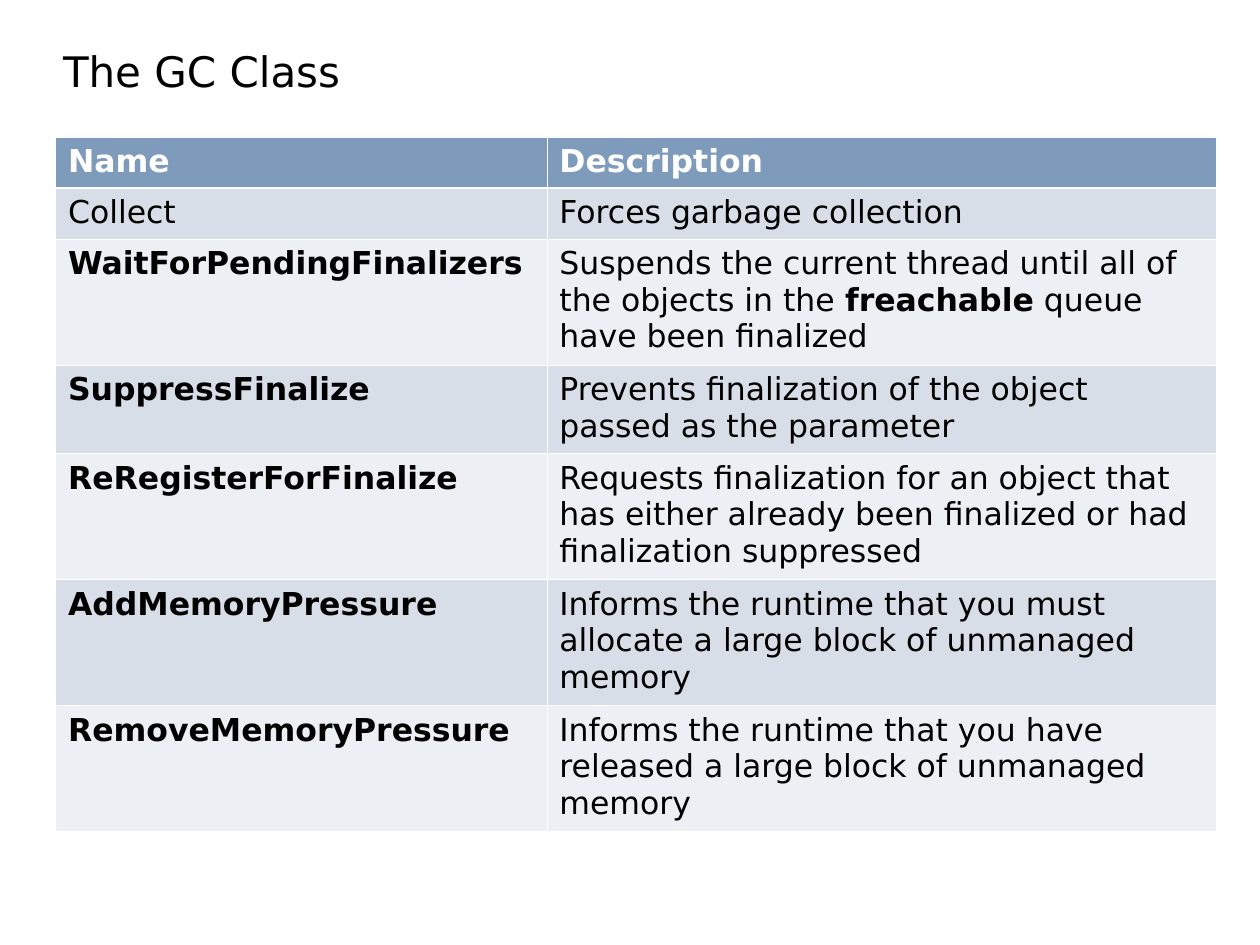
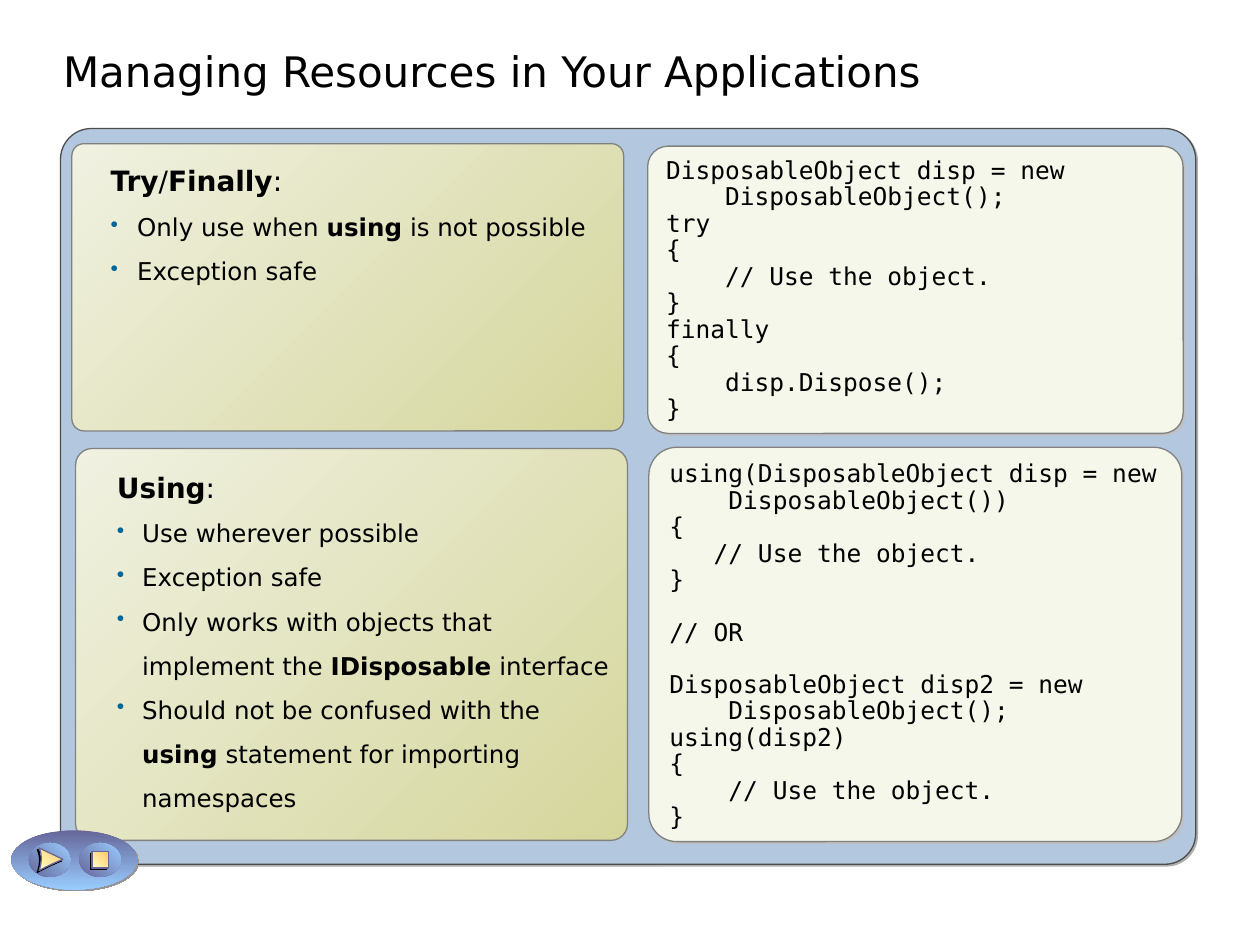
from dataclasses import dataclass
from typing import Any, NamedTuple, Optional

from lxml import etree
from pptx import Presentation
from pptx.dml.color import RGBColor
from pptx.enum.shapes import MSO_SHAPE
from pptx.enum.text import MSO_ANCHOR, MSO_AUTO_SIZE, PP_ALIGN
from pptx.oxml.ns import qn
from pptx.util import Inches, Pt

ROUNDED, OVAL, RECT = MSO_SHAPE.ROUNDED_RECTANGLE, MSO_SHAPE.OVAL, MSO_SHAPE.RECTANGLE
LEFT, TOP, BOTTOM = PP_ALIGN.LEFT, MSO_ANCHOR.TOP, MSO_ANCHOR.BOTTOM
NO_AUTOFIT = MSO_AUTO_SIZE.NONE
TITLE_ONLY = 5
EMPHASIS = "**"


class Gradient(NamedTuple):
    start: str
    end: str
    angle: int  # clockwise degrees


class Shadow(NamedTuple):
    color: str
    angle: int = 45
    opacity: int = 100


class Box(NamedTuple):
    x: float
    y: float
    w: float
    h: float

    def lengths(self) -> tuple:
        return tuple(Inches(v) for v in self)


@dataclass(frozen=True)
class Theme:
    sans: str = "DejaVu Sans"
    mono: str = "DejaVu Sans Mono"
    text: str = "000000"
    white: str = "FFFFFF"
    header: str = "7F9BBC"
    bands: tuple = ("D8DEE7", "ECEFF4")
    frame: str = "B3C8DF"
    frame_line: str = "4D4D4D"
    panel_line: str = "808080"
    code_fill: str = "F6F7EB"
    bullet: str = "006699"
    button_line: str = "666699"
    panel: Gradient = Gradient("F0F1E1", "D5D69C", 45)
    pad: Gradient = Gradient("666699", "99CCFF", 90)
    button: Gradient = Gradient("666699", "99CCFF", 315)
    icon: Gradient = Gradient("FFFFCC", "FFCC66", 315)
    frame_shadow: Shadow = Shadow("5F5F5F", opacity=50)
    code_shadow: Shadow = Shadow("C0C0C0")
    pad_shadow: Shadow = Shadow("969696")
    icon_shadow: Shadow = Shadow("000000", angle=135)
    title_size: int = 24
    table_size: int = 18
    heading_size: int = 16
    body_size: int = 14
    code_gap: float = 14.7  # one empty code line


T = Theme()


@dataclass(frozen=True)
class BulletPanel:
    box: Box
    hanging: float
    heading: str
    bullets: tuple


@dataclass(frozen=True)
class CodePanel:
    box: Box
    blocks: tuple  # blocks are set apart by one line


METHODS = (
    ("Name", "Description"),
    ("Collect", "Forces garbage collection"),
    ("**WaitForPendingFinalizers**",
     "Suspends the current thread until all of the objects in the "
     "**freachable** queue have been finalized"),
    ("**SuppressFinalize**", "Prevents finalization of the object passed as the parameter"),
    ("**ReRegisterForFinalize**",
     "Requests finalization for an object that has either already been "
     "finalized or had finalization suppressed"),
    ("**AddMemoryPressure**",
     "Informs the runtime that you must allocate a large block of unmanaged memory"),
    ("**RemoveMemoryPressure**",
     "Informs the runtime that you have released a large block of unmanaged memory"),
)
COLUMN_WIDTHS = (3.9, 5.31)
ROW_HEIGHTS = (0.4, 0.41, 1, 0.7, 1, 1, 1)

CODE_PANELS = (
    CodePanel(Box(5.14, 1.16, 4.25, 2.28), ("""\
DisposableObject disp = new
    DisposableObject();
try
{
    // Use the object.
}
finally
{
    disp.Dispose();
}""",)),
    CodePanel(Box(5.15, 3.55, 4.23, 3.13), ("""\
using(DisposableObject disp = new
    DisposableObject())
{
   // Use the object.
}""", "// OR", """\
DisposableObject disp2 = new
    DisposableObject();
using(disp2)
{
    // Use the object.
}""")),
)

BULLET_PANELS = (
    BulletPanel(Box(0.6, 3.56, 4.38, 3.11), 0.2, "**Using**:", (
        "Use wherever possible",
        "Exception safe",
        "Only works with objects that implement the **IDisposable** interface",
        "Should not be confused with the **using** statement for importing namespaces",
    )),
    BulletPanel(Box(0.57, 1.14, 4.38, 2.28), 0.21, "**Try**/**Finally**:", (
        "Only use when **using** is not possible",
        "Exception safe",
    )),
)


# Text
def write(p: Any, text: str, *, size: float = T.body_size, font: str = T.sans,
          color: str = T.text, bold: bool = False, spacing: float = 1.0,
          before: float = 0) -> None:
    """Fill a paragraph; text between ** marks is bold."""
    p.alignment, p.line_spacing = LEFT, spacing
    p.space_before, p.space_after = Pt(before), Pt(0)
    for i, part in enumerate(text.split(EMPHASIS)):
        if part:
            r = p.add_run()
            r.text = part
            r.font.name, r.font.size = font, Pt(size)
            r.font.bold = bold or i % 2 == 1
            r.font.color.rgb = RGBColor.from_string(color)


def next_paragraph(tf: Any) -> Any:
    first = tf.paragraphs[0]
    return first if not first.runs else tf.add_paragraph()


def set_frame(tf: Any, insets: tuple, anchor: Any = TOP) -> None:
    tf.word_wrap, tf.auto_size, tf.vertical_anchor = True, NO_AUTOFIT, anchor
    tf.margin_left, tf.margin_top, tf.margin_right, tf.margin_bottom = map(Inches, insets)


def indent(p: Any, left: float, hanging: float, bullet: bool) -> None:
    pPr = p._p.get_or_add_pPr()
    pPr.set("marL", str(Inches(left)))
    pPr.set("indent", str(-Inches(hanging)))
    if bullet:
        clr = etree.SubElement(pPr, qn("a:buClr"))
        etree.SubElement(clr, qn("a:srgbClr"), val=T.bullet)
        etree.SubElement(pPr, qn("a:buSzPct"), val="90000")
        etree.SubElement(pPr, qn("a:buChar"), char="•")


# Shapes
def style(sp: Any, fill: "str | Gradient", line: Optional[str] = None,
          shadow: Optional[Shadow] = None) -> Any:
    if isinstance(fill, Gradient):
        sp.fill.gradient()
        sp.fill.gradient_angle = 360 - fill.angle
        for stop, color in zip(sp.fill.gradient_stops, (fill.start, fill.end)):
            stop.color.rgb = RGBColor.from_string(color)
    else:
        sp.fill.solid()
        sp.fill.fore_color.rgb = RGBColor.from_string(fill)
    if line:
        sp.line.color.rgb = RGBColor.from_string(line)
        sp.line.width = Pt(0.75)
    else:
        sp.line.fill.background()
    sp.shadow.inherit = False
    if shadow:
        effects = sp.element.spPr.find(qn("a:effectLst"))
        outer = etree.SubElement(effects, qn("a:outerShdw"), blurRad="0", dist=str(Pt(1.4)),
                                 dir=str(shadow.angle * 60000), algn="ctr", rotWithShape="0")
        clr = etree.SubElement(outer, qn("a:srgbClr"), val=shadow.color)
        etree.SubElement(clr, qn("a:alpha"), val=str(shadow.opacity * 1000))
    return sp


def add_rounded(s: Any, box: Box, radius: float, *look: Any) -> Any:
    sp = s.shapes.add_shape(ROUNDED, *box.lengths())
    sp.adjustments[0] = radius
    return style(sp, *look)


def add_title_slide(prs: Any, title: str) -> Any:
    s = prs.slides.add_slide(prs.slide_layouts[TITLE_ONLY])
    sp = s.shapes.title
    sp.left, sp.top, sp.width, sp.height = Box(0.5, 0, 8.5, 0.81).lengths()
    set_frame(sp.text_frame, (0, 0.05, 0.1, 0.05), BOTTOM)
    write(sp.text_frame.paragraphs[0], title, size=T.title_size, spacing=0.85)
    return s


# Table
def set_borders(cell: Any, top: float, bottom: float) -> None:
    tcPr = cell._tc.get_or_add_tcPr()
    widths = {"a:lnL": 0.45, "a:lnR": 0.45, "a:lnT": top, "a:lnB": bottom}
    for i, (tag, width) in enumerate(widths.items()):
        ln = etree.Element(qn(tag), w=str(Pt(width)))
        fill = etree.SubElement(ln, qn("a:solidFill"))
        etree.SubElement(fill, qn("a:srgbClr"), val=T.white)
        tcPr.insert(i, ln)


def add_method_table(s: Any) -> None:
    box = Box(0.44, 1.09, sum(COLUMN_WIDTHS), sum(ROW_HEIGHTS))
    table = s.shapes.add_table(len(METHODS), len(COLUMN_WIDTHS), *box.lengths()).table
    for column, width in zip(table.columns, COLUMN_WIDTHS):
        column.width = Inches(width)
    for i, (texts, height) in enumerate(zip(METHODS, ROW_HEIGHTS)):
        table.rows[i].height = Inches(height)
        header = i == 0
        for cell, text in zip(table.rows[i].cells, texts):
            cell.fill.solid()
            cell.fill.fore_color.rgb = RGBColor.from_string(
                T.header if header else T.bands[(i - 1) % 2])
            set_borders(cell, 1.47 if i == 1 else 0.45, 1.47 if header else 0.45)
            write(cell.text_frame.paragraphs[0], text, size=T.table_size, bold=header,
                  color=T.white if header else T.text)


# Panels
def add_code_panel(s: Any, panel: CodePanel) -> None:
    sp = add_rounded(s, panel.box, 0.071, T.code_fill, T.panel_line, T.code_shadow)
    set_frame(sp.text_frame, (0.1, 0.05, 0.1, 0.05))
    for b, block in enumerate(panel.blocks):
        for n, line in enumerate(block.splitlines()):
            write(next_paragraph(sp.text_frame), line, font=T.mono, spacing=0.9,
                  before=T.code_gap if b and n == 0 else 0)


def add_bullet_panel(s: Any, panel: BulletPanel) -> None:
    sp = add_rounded(s, panel.box, 0.042, T.panel, T.panel_line)
    set_frame(sp.text_frame, (0, 0, 0, 0.05))
    for i, text in enumerate((panel.heading, *panel.bullets)):
        p = next_paragraph(sp.text_frame)
        write(p, text, size=T.body_size if i else T.heading_size, spacing=1.5)
        indent(p, 0.49, panel.hanging, bullet=i > 0)


# Playback buttons
def bezier(points: tuple, steps: int = 10) -> list:
    def at(t: float) -> tuple:
        weights = ((1 - t) ** 3, 3 * t * (1 - t) ** 2, 3 * t * t * (1 - t), t ** 3)
        return tuple(Inches(sum(w * pt[k] for w, pt in zip(weights, points))) for k in (0, 1))
    return [at(i / steps) for i in range(steps + 1)]


def add_play_icon(shapes: Any) -> Any:
    back = bezier(((0.31, 6.73), (0.31, 6.73), (0.35, 6.8), (0.31, 6.91)))
    lower = bezier(((0.31, 6.91), (0.4, 6.86), (0.5, 6.82), (0.5, 6.82)))
    outline = shapes.build_freeform(*back[0], scale=1.0)
    outline.add_line_segments(back[1:] + lower[1:], close=True)
    return outline.convert_to_shape()


def add_stop_icon(shapes: Any) -> Any:
    return shapes.add_shape(RECT, *Box(0.73, 6.76, 0.13, 0.13).lengths())


def add_playback(s: Any) -> None:
    pad = s.shapes.add_shape(OVAL, *Box(0.09, 6.59, 1, 0.47).lengths())
    style(pad, T.pad, shadow=T.pad_shadow)
    for x, add_icon in ((0.23, add_play_icon), (0.63, add_stop_icon)):
        shapes = s.shapes.add_group_shape().shapes
        style(shapes.add_shape(OVAL, *Box(x, 6.69, 0.33, 0.27).lengths()), T.button)
        style(add_icon(shapes), T.icon, T.button_line, T.icon_shadow)


def main() -> None:
    prs = Presentation()
    prs.slide_width, prs.slide_height = Inches(10), Inches(7.5)

    add_method_table(add_title_slide(prs, "The GC Class"))

    s = add_title_slide(prs, "Managing Resources in Your Applications")
    add_rounded(s, Box(0.48, 1.02, 9.01, 5.84), 0.042, T.frame, T.frame_line, T.frame_shadow)
    for code in CODE_PANELS:
        add_code_panel(s, code)
    for bullets in BULLET_PANELS:
        add_bullet_panel(s, bullets)
    add_playback(s)

    prs.save("out.pptx")


if __name__ == "__main__":
    main()
